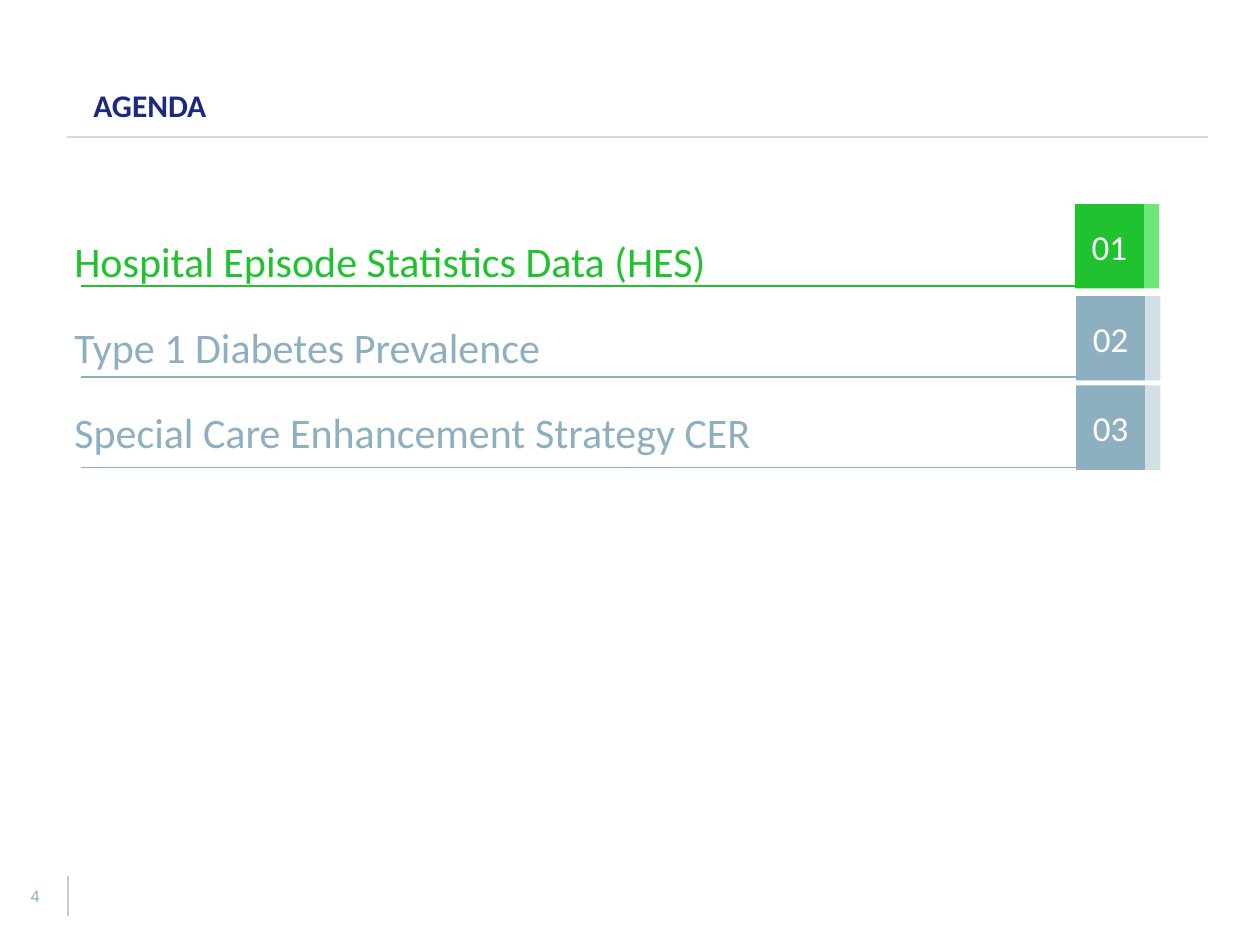
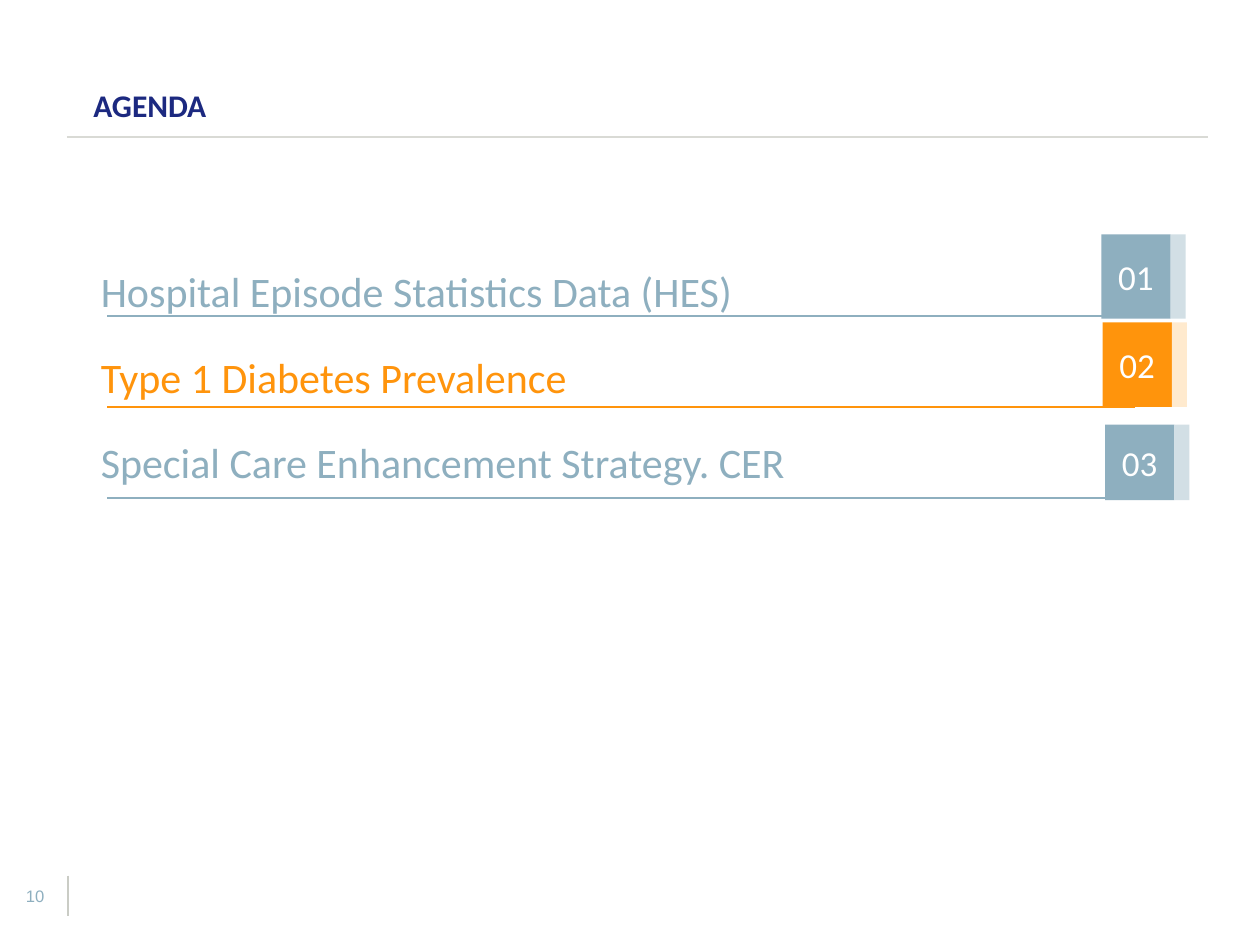
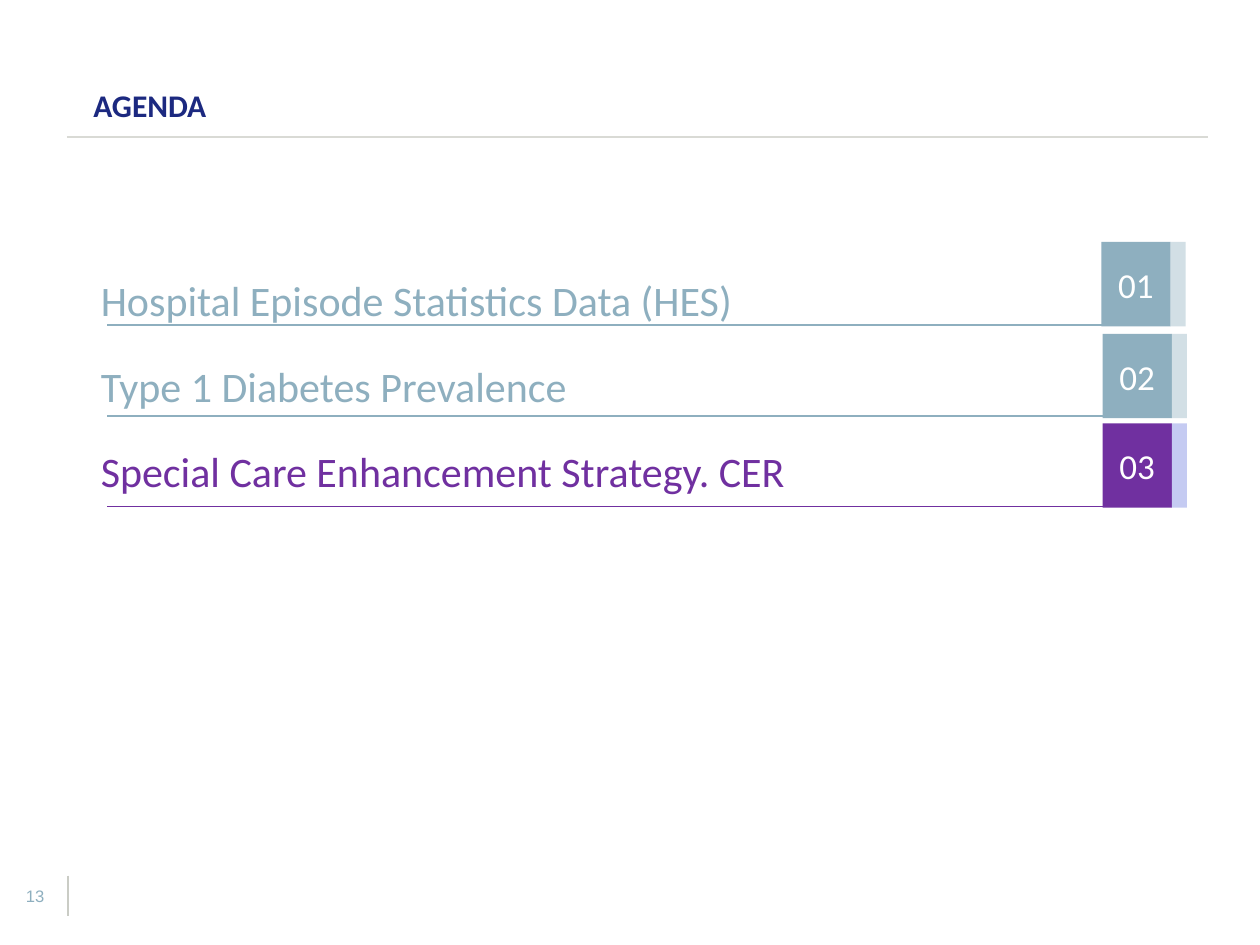
from lxml import etree
from pptx import Presentation
from pptx.dml.color import RGBColor
from pptx.enum import shapes, text
from pptx.oxml.ns import qn
from pptx.util import Inches, Pt

# Shared colours
NAVY, MUTED, MUTED_TINT, WHITE = "1C2980", "8EAFBF", "D2DFE5", "FFFFFF"
HEADER_RULE, FOOTER_RULE = "D9DAD5", "CACCC5"

# Content: badges are (left, top, height); "active" is the highlighted topic
TOPICS = ["Hospital Episode Statistics Data (HES)", "Type 1 Diabetes Prevalence"]
AGENDAS = [
    dict(number="4", topics=TOPICS + ["Special Care Enhancement Strategy CER"],
         active=0, color="20C22F", tint="6DE778", list_at=(0.49, 1.82),
         badges=[(8.53, 1.62, 0.67), (8.54, 2.35, 0.67), (8.54, 3.06, 0.67)]),
    dict(number="10", topics=TOPICS + ["Special Care Enhancement Strategy. CER"],
         active=1, color="FF940C", tint="FFEACE", list_at=(0.7, 2.06),
         badges=[(8.74, 1.86, 0.67), (8.75, 2.56, 0.67), (8.77, 3.37, 0.6)]),
    dict(number="13", topics=TOPICS + ["Special Care Enhancement Strategy. CER"],
         active=2, color="7030A0", tint="C5CBF2", list_at=(0.7, 2.13),
         badges=[(8.74, 1.92, 0.67), (8.75, 2.65, 0.67), (8.75, 3.36, 0.67)]),
]

# Geometry in inches
BADGE_W, STRIPE_W = 0.55, 0.12
RULE_DX, RULE_DY, RULE_W, RULE_STEP = 0.15, 0.45, 8.16, 0.72


def rgb(value):
    return RGBColor.from_string(value)


def place(sp, left, top, width, height):
    sp.left, sp.top, sp.width, sp.height = map(Inches, (left, top, width, height))


def set_frame(sp, margins, anchor=text.MSO_ANCHOR.TOP):
    tf = sp.text_frame
    tf.word_wrap, tf.auto_size = True, text.MSO_AUTO_SIZE.NONE
    tf.vertical_anchor = anchor
    tf.margin_left, tf.margin_top, tf.margin_right, tf.margin_bottom = map(Inches, margins)
    return tf


def style(p, size, color, font="Calibri", bold=False, align=text.PP_ALIGN.LEFT):
    p.alignment = align
    f = p.font
    f.name, f.size, f.bold = font, Pt(size), bold
    f.color.rgb = rgb(color)


def add_line(s, x1, y1, x2, y2, color, width):
    line = s.shapes.add_connector(shapes.MSO_CONNECTOR.STRAIGHT, *map(Inches, (x1, y1, x2, y2)))
    line.line.color.rgb, line.line.width = rgb(color), Pt(width)
    etree.SubElement(line._element.spPr, qn("a:effectLst"))


def add_rect(s, left, top, width, height, color):
    sp = s.shapes.add_shape(shapes.MSO_SHAPE.RECTANGLE, *map(Inches, (left, top, width, height)))
    sp.shadow.inherit = False
    sp.fill.solid()
    sp.fill.fore_color.rgb = rgb(color)
    sp.line.fill.background()
    return sp


def add_frame(s, number):
    # Page number with its divider, then the heading and its rule
    sp = s.shapes.add_textbox(*map(Inches, (0.16, 7.03, 0.24, 0.16)))
    p = set_frame(sp, (0, 0, 0, 0)).paragraphs[0]
    p.text = number
    style(p, 9.5, MUTED, "Arial", align=text.PP_ALIGN.CENTER)
    add_line(s, 0.54, 6.95, 0.54, 7.27, FOOTER_RULE, 0.75)
    add_line(s, 0.53, 1.09, 9.59, 1.09, HEADER_RULE, 1.25)

    title = s.shapes.title
    place(title, 0.64, 0.63, 4.68, 0.4)
    p = set_frame(title, (0.1, 0.05, 0.04, 0.05)).paragraphs[0]
    p.text = "AGENDA"
    style(p, 18, NAVY, bold=True)


def add_badge(s, label, left, top, height, color, tint):
    sp = add_rect(s, left, top, BADGE_W, height, color)
    p = set_frame(sp, (0, 0, 0, 0), text.MSO_ANCHOR.MIDDLE).paragraphs[0]
    p.text = label
    style(p, 20, WHITE, align=text.PP_ALIGN.CENTER)
    add_rect(s, left + BADGE_W, top, STRIPE_W, height, tint)


def add_topics(s, topics, colors, left, top):
    body = s.placeholders[1]
    place(body, left, top, 7.92, 1.87)
    tf = set_frame(body, (0.1, 0.05, 0.04, 0.05))
    tf.text = "\n".join(topics)
    for i, (p, color) in enumerate(zip(tf.paragraphs, colors)):
        style(p, 24, color)
        p.space_before = Pt(20)
        pPr = p._p.get_or_add_pPr()
        pPr.set("marL", "0")
        pPr.set("indent", "0")
        pPr.find(qn("a:spcBef")).addnext(etree.Element(qn("a:buNone")))
        x, y = left + RULE_DX, top + RULE_DY + i * RULE_STEP
        add_line(s, x, y, x + RULE_W, y, color, 1)


def main():
    prs = Presentation()
    prs.slide_width, prs.slide_height = Inches(10), Inches(7.5)
    for agenda in AGENDAS:
        s = prs.slides.add_slide(prs.slide_layouts[1])
        add_frame(s, agenda["number"])
        pairs = [(MUTED, MUTED_TINT)] * len(agenda["topics"])
        pairs[agenda["active"]] = agenda["color"], agenda["tint"]
        for i, (badge, pair) in enumerate(zip(agenda["badges"], pairs), 1):
            add_badge(s, f"{i:02}", *badge, *pair)
        add_topics(s, agenda["topics"], [color for color, _ in pairs], *agenda["list_at"])
    prs.save("out.pptx")


if __name__ == "__main__":
    main()
